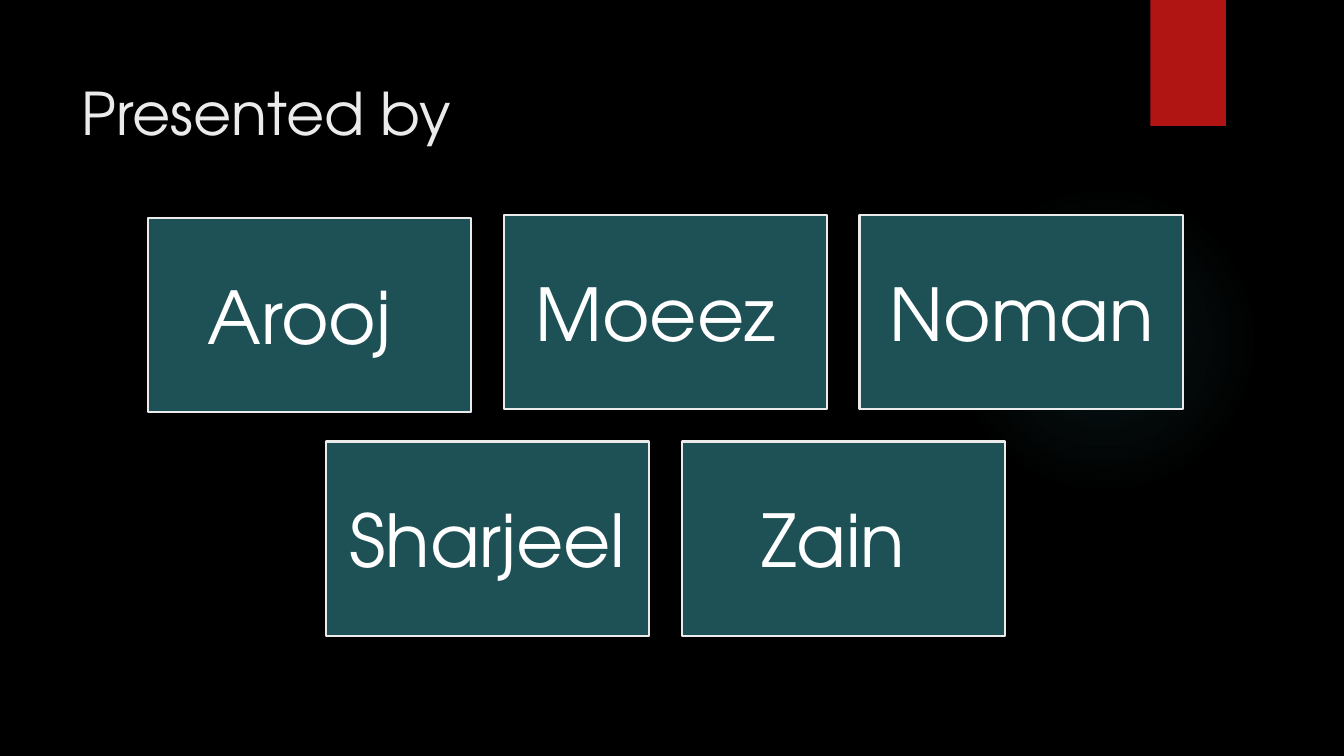
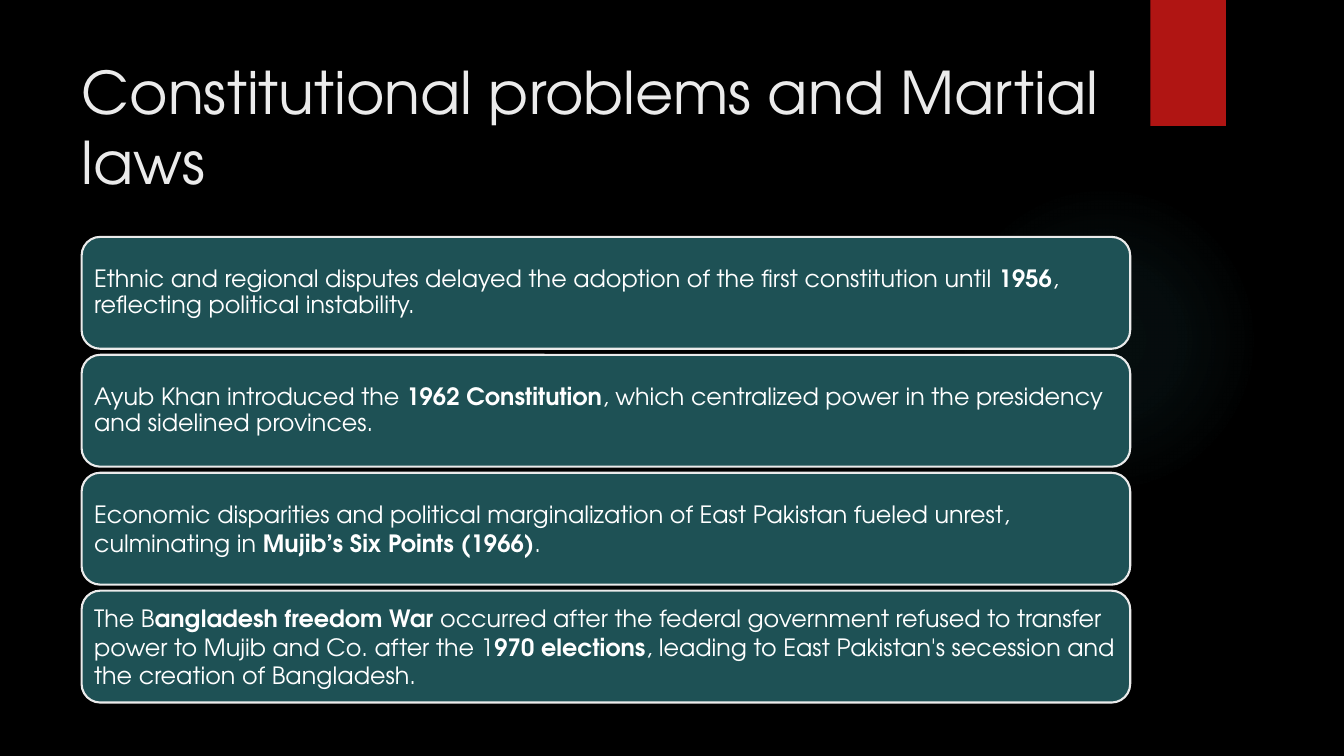
from pptx import Presentation
from pptx.dml.color import RGBColor
from pptx.enum.shapes import MSO_SHAPE
from pptx.enum.text import MSO_ANCHOR, MSO_AUTO_SIZE, PP_ALIGN
from pptx.oxml import parse_xml
from pptx.oxml.ns import nsdecls
from pptx.util import Inches, Pt

RECT, ROUNDED, OVAL = MSO_SHAPE.RECTANGLE, MSO_SHAPE.ROUNDED_RECTANGLE, MSO_SHAPE.OVAL
TOP, MIDDLE = MSO_ANCHOR.TOP, MSO_ANCHOR.MIDDLE
LEFT, CENTER = PP_ALIGN.LEFT, PP_ALIGN.CENTER
NO_FIT = MSO_AUTO_SIZE.NONE

# Content
PRESENTERS_TITLE = "Presented by"
PRESENTER_ROWS = [  # (name, vertical nudge in inches)
    [("Arooj ", 0.03), ("Moeez ", 0), ("Noman", 0)],
    [("Sharjeel", 0), ("Zain ", 0)],
]
PROBLEMS_TITLE = "Constitutional problems and Martial laws"
PROBLEMS = [  # (line spacing, runs: plain and bold in turn)
    (0.9, ["Ethnic and regional disputes delayed the adoption of the first constitution until ",
           "1956", ", reflecting political instability."]),
    (0.9, ["Ayub Khan introduced the ", "1962 Constitution",
           ", which centralized power in the presidency and sidelined provinces."]),
    (1.0, ["Economic disparities and political marginalization of East Pakistan fueled unrest, "
           "culminating in ", "Mujib’s Six Points (1966)", "."]),
    (1.0, ["The B", "angladesh freedom War ",
           "occurred after the federal government refused to transfer power to Mujib and Co. "
           "after the 1", "970 elections",
           ", leading to East Pakistan's secession and the creation of Bangladesh."]),
]

# Shared style
FONT = "TeX Gyre Adventor"
BLACK, WHITE, PALE = "000000", "FFFFFF", "EBEBEB"
TEAL, RED, GLOW = "1E5155", "B01513", "50B9C1"
GLOW_STOPS = [(0, 7), (36, 6), (69, 0)]  # position %, opacity %


def color(value):
    return RGBColor.from_string(value)


def add_block(slide, kind, box, fill, line=None):
    s = slide.shapes.add_shape(kind, *map(Inches, box))
    s.shadow.inherit = False
    s.fill.solid()
    s.fill.fore_color.rgb = color(fill)
    if line:
        s.line.color.rgb = color(line)
        s.line.width = Pt(1.5)
    else:
        s.line.fill.background()
    return s


def write(shape, runs, size, ink, align, anchor, insets=(0.1, 0.05), spacing=1.0):
    tf = shape.text_frame
    dx, dy = map(Inches, insets)
    frame = dict(word_wrap=True, auto_size=NO_FIT, vertical_anchor=anchor, margin_left=dx,
                 margin_right=dx, margin_top=dy, margin_bottom=dy)
    for name, value in frame.items():
        setattr(tf, name, value)
    p = tf.paragraphs[0]
    p.alignment, p.line_spacing = align, spacing
    for i, text in enumerate(runs):
        r = p.add_run()
        r.text = text
        for name, value in dict(name=FONT, size=Pt(size), bold=i % 2 == 1).items():
            setattr(r.font, name, value)
        r.font.color.rgb = color(ink)


def add_glow(slide):
    s = add_block(slide, OVAL, (9.41, 1.83, 3.08, 3.08), GLOW)
    stops = "".join(
        f'<a:gs pos="{pos * 1000}"><a:srgbClr val="{GLOW}">'
        f'<a:alpha val="{alpha * 1000}"/></a:srgbClr></a:gs>' for pos, alpha in GLOW_STOPS)
    gradient = parse_xml(
        f'<a:gradFill {nsdecls("a")}><a:gsLst>{stops}</a:gsLst><a:path path="circle">'
        '<a:fillToRect l="50000" t="50000" r="50000" b="50000"/></a:path></a:gradFill>')
    props = s._element.spPr
    props.replace(props.find("{*}solidFill"), gradient)


def add_slide(prs, title, title_top):
    slide = prs.slides.add_slide(prs.slide_layouts[5])
    add_glow(slide)
    add_block(slide, RECT, (11.41, 0, 0.75, 1.25), RED)
    s = slide.shapes.title
    s.left, s.top, s.width, s.height = map(Inches, (0.71, title_top, 10.29, 1.53))
    write(s, [title], 42, PALE, LEFT, TOP)
    return slide


def add_presenters(slide):
    width, height, gap, center, top = 3.21, 1.93, 0.32, 6.6, 2.13
    for row, names in enumerate(PRESENTER_ROWS):
        left = center - (len(names) * (width + gap) - gap) / 2
        for col, (name, nudge) in enumerate(names):
            box = (left + col * (width + gap), top + row * (height + gap) + nudge, width, height)
            card = add_block(slide, RECT, box, TEAL, PALE)
            write(card, [name], 52, WHITE, CENTER, MIDDLE, (0.22, 0.22))


def add_problems(slide):
    top, height, gap = 2.35, 1.11, 0.06
    for i, (spacing, runs) in enumerate(PROBLEMS):
        bar = add_block(slide, ROUNDED, (0.81, top + i * (height + gap), 10.4, height), TEAL, PALE)
        write(bar, runs, 17, WHITE, LEFT, MIDDLE, (0.07, 0.07), spacing)


def main():
    prs = Presentation()
    prs.slide_width, prs.slide_height = Inches(13.33), Inches(7.5)
    background = prs.slide_master.background.fill
    background.solid()
    background.fore_color.rgb = color(BLACK)

    add_presenters(add_slide(prs, PRESENTERS_TITLE, 0.71))
    add_problems(add_slide(prs, PROBLEMS_TITLE, 0.5))
    prs.save("out.pptx")


if __name__ == "__main__":
    main()
